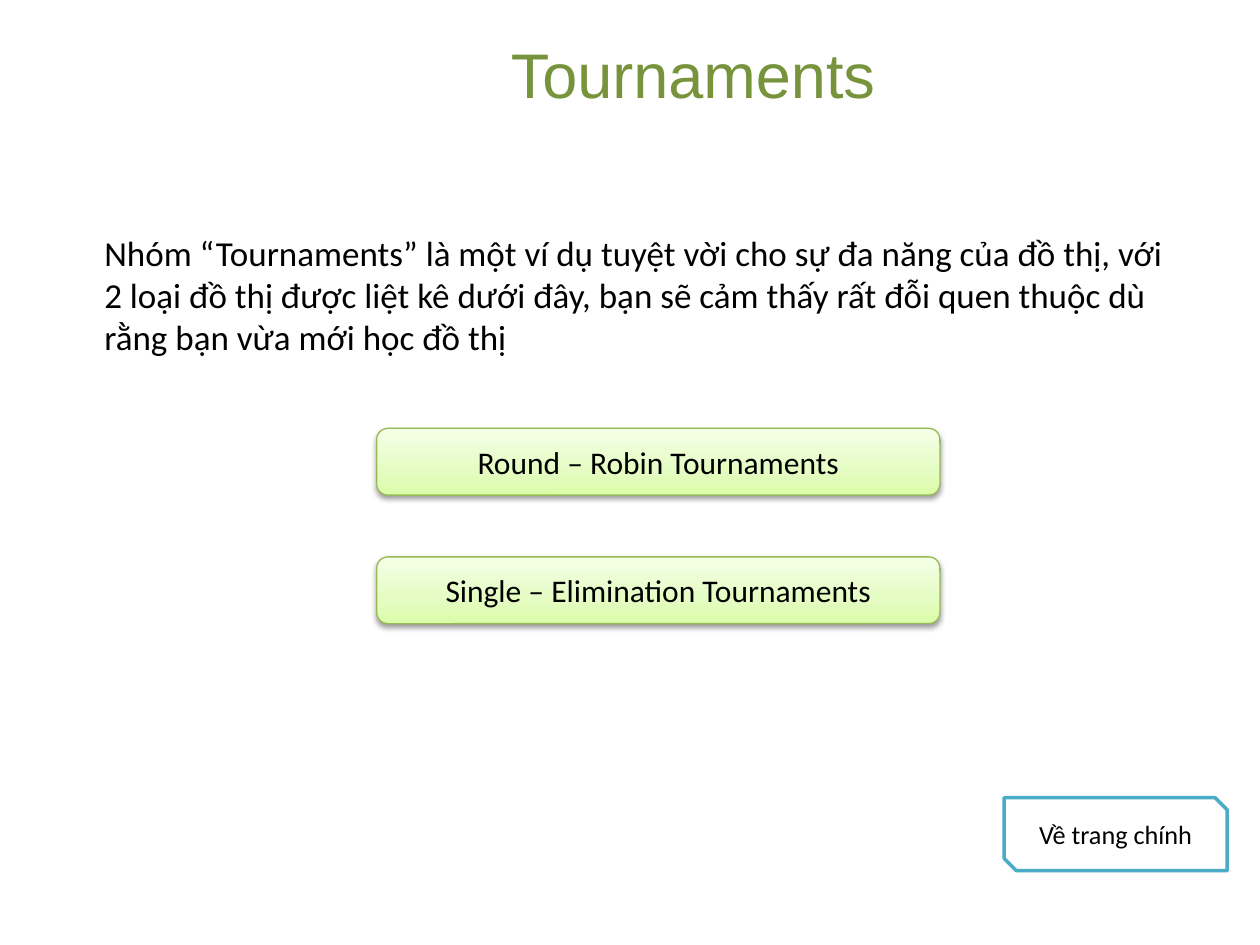
from lxml import etree
from copy import deepcopy
from pptx import Presentation
from pptx.dml.color import RGBColor
from pptx.enum.shapes import MSO_SHAPE
from pptx.enum.text import MSO_ANCHOR, PP_ALIGN
from pptx.oxml.ns import qn
from pptx.util import Inches, Pt

ROUND = MSO_SHAPE.ROUNDED_RECTANGLE
SNIP = MSO_SHAPE.SNIP_2_DIAG_RECTANGLE
MIDDLE = MSO_ANCHOR.MIDDLE
CENTER = PP_ALIGN.CENTER
LEFT = PP_ALIGN.LEFT
BLACK = RGBColor(0x00, 0x00, 0x00)
WHITE = RGBColor(0xFF, 0xFF, 0xFF)
OLIVE = RGBColor(0x77, 0x93, 0x3C)
GREEN = RGBColor(0x98, 0xB9, 0x55)
TEAL = RGBColor(0x4B, 0xAC, 0xC6)
LIMES = [
    (0, RGBColor(0xDA, 0xFD, 0xA7)),
    (0.35, RGBColor(0xE4, 0xFC, 0xC2)),
    (1, RGBColor(0xF5, 0xFF, 0xE7)),
]
WIDE, HIGH = 10, 7.5


class Deck:
    """Holds the style and the current slide; lengths are shares of its size."""

    def __init__(self):
        self.prs = Presentation()
        self.prs.slide_width = Inches(WIDE)
        self.prs.slide_height = Inches(HIGH)
        self.slide = self.prs.slides.add_slide(self.prs.slide_layouts[5])
        self.font = "Calibri"

    def area(self, x, y, w, h):
        """Turn shares of the slide into lengths."""
        return (Inches(x * WIDE), Inches(y * HIGH),
                Inches(w * WIDE), Inches(h * HIGH))

    def label(self, shape, text, size, color=BLACK, font=None, align=CENTER):
        """Fill a shape with styled text."""
        frame = shape.text_frame
        frame.word_wrap = True
        frame.text = text
        para = frame.paragraphs[0]
        para.alignment = align
        style = para.runs[0].font
        style.name = font or self.font
        style.size = Pt(size)
        style.color.rgb = color

    def title(self, text, box):
        """Move and fill the title placeholder."""
        shape = self.slide.shapes.title
        shape.left, shape.top, shape.width, shape.height = self.area(*box)
        shape.text_frame.vertical_anchor = MIDDLE
        self.label(shape, text, 36, OLIVE, "Arial")

    def text(self, text, box):
        """Add a block of running text."""
        shape = self.slide.shapes.add_textbox(*self.area(*box))
        self.label(shape, text, 20, align=LEFT)

    def panel(self, kind, text, box, size, line, width):
        """Add an outlined shape with a centred label."""
        shape = self.slide.shapes.add_shape(kind, *self.area(*box))
        shape.shadow.inherit = False
        shape.line.color.rgb = line
        shape.line.width = Pt(width)
        shape.text_frame.vertical_anchor = MIDDLE
        self.label(shape, text, size)
        return shape

    def button(self, text, box):
        """Add a raised button with a lime gradient."""
        shape = self.panel(ROUND, text, box, 18, GREEN, 0.75)
        shape.fill.gradient()
        shape.fill.gradient_angle = 90
        props = shape.element.spPr
        stops = props.find(qn("a:gradFill")).find(qn("a:gsLst"))
        stops.insert(1, deepcopy(stops[0]))
        for stop, (place, color) in zip(shape.fill.gradient_stops, LIMES):
            stop.position = place
            stop.color.rgb = color
        shade = etree.SubElement(
            props.find(qn("a:effectLst")), qn("a:outerShdw"),
            blurRad=str(Pt(3.1)), dist=str(Pt(1.6)), dir="5400000",
            rotWithShape="0")
        tint = etree.SubElement(shade, qn("a:srgbClr"), val=str(BLACK))
        etree.SubElement(tint, qn("a:alpha"), val="38000")

    def link(self, text, box):
        """Add a plain snipped box."""
        shape = self.panel(SNIP, text, box, 15, TEAL, 2)
        shape.fill.solid()
        shape.fill.fore_color.rgb = WHITE


def main():
    """Build the slide."""
    deck = Deck()
    deck.title("Tournaments", (0.15, 0.05 / HIGH, 0.8, 1.06 / HIGH))
    deck.text("Nhóm “Tournaments” là một ví dụ tuyệt vời cho sự đa năng của "
              "đồ thị, với 2 loại đồ thị được liệt kê dưới đây, bạn sẽ cảm "
              "thấy rất đỗi quen thuộc dù rằng bạn vừa mới học đồ thị",
              (0.73 / WIDE, 1.79 / HIGH, 8.77 / WIDE, 1.11 / HIGH))
    names = ["Round – Robin Tournaments", "Single – Elimination Tournaments"]
    for row, name in enumerate(names):
        top = (3.4 + 1.02 * row) / HIGH
        deck.button(name, (2.99 / WIDE, top, 4.47 / WIDE, 0.53 / HIGH))
    deck.link("Về trang chính",
              (7.97 / WIDE, 6.33 / HIGH, 1.77 / WIDE, 0.58 / HIGH))
    deck.prs.save("out.pptx")


if __name__ == "__main__":
    main()
